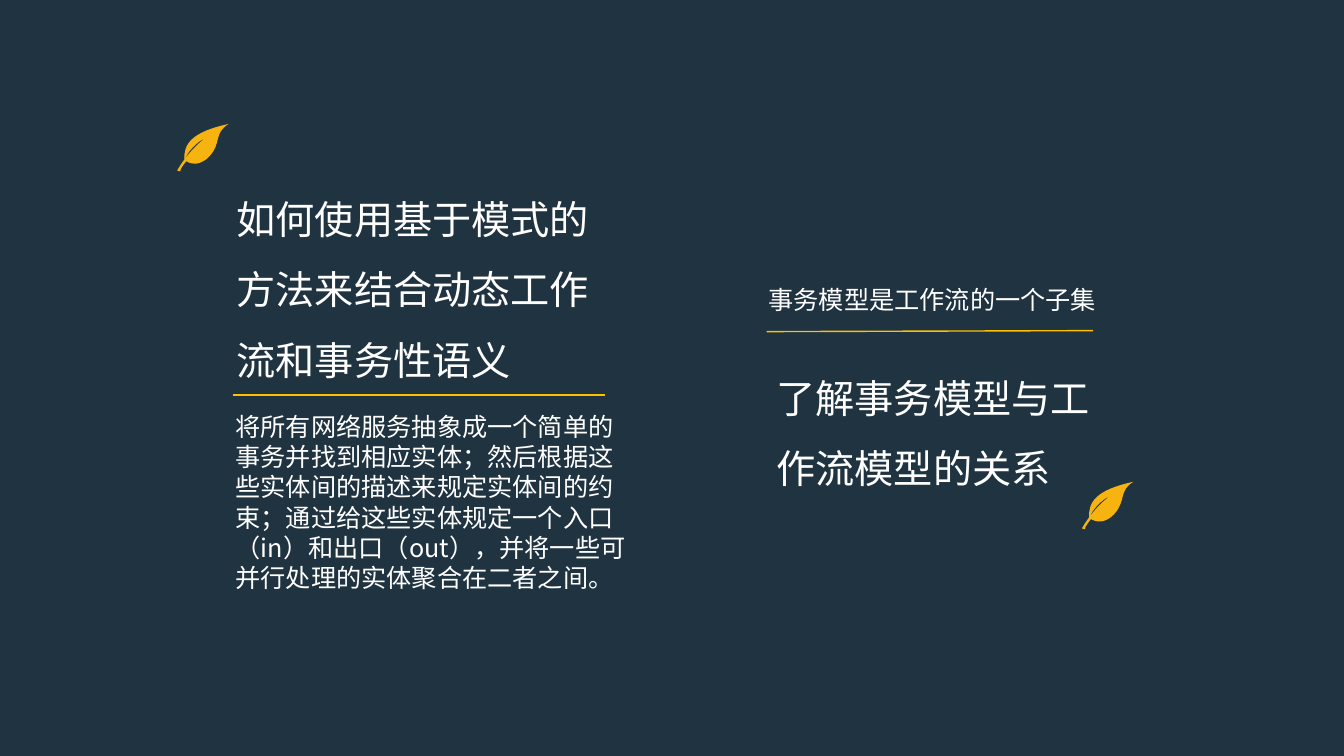
from pptx import Presentation
from pptx.dml.color import RGBColor
from pptx.enum.shapes import MSO_CONNECTOR as Connector
from pptx.enum.text import MSO_ANCHOR as Anchor, MSO_AUTO_SIZE as AutoSize, PP_ALIGN as Align
from pptx.oxml.ns import qn
from pptx.util import Inches, Pt
from lxml.etree import SubElement

WHITE, NAVY, GOLD, LEAF = "FFFFFF", "203341", "FFC000", "F7B30F"
color = RGBColor.from_string

presentation = Presentation()
presentation.slide_width, presentation.slide_height = Inches(13.34), Inches(7.5)
slide = presentation.slides.add_slide(presentation.slide_layouts[5])
slide.background.fill.solid()
slide.background.fill.fore_color.rgb = color(NAVY)


def write(text, box, shape=None, size=18, font="Calibri", spacing=1.0):
    left, top, width, height = map(Inches, box)
    if shape is None:
        shape = slide.shapes.add_textbox(left, top, width, height)
    shape.left, shape.top, shape.width, shape.height = left, top, width, height
    frame = shape.text_frame
    frame.text = text
    frame.word_wrap = True
    frame.auto_size = AutoSize.NONE
    frame.vertical_anchor = Anchor.TOP
    paragraph = frame.paragraphs[0]
    paragraph.alignment = Align.LEFT
    paragraph.line_spacing = spacing
    paragraph.space_before = Pt(0)
    # Keep closing punctuation inside the box
    paragraph._p.get_or_add_pPr().set("hangingPunct", "0")
    run_font = paragraph.runs[0].font
    run_font.size, run_font.name = Pt(size), font
    run_font.color.rgb = color(WHITE)


# Left column: question and answer
write("如何使用基于模式的方法来结合动态工作流和事务性语义",
      (2.25, 1.65, 3.8, 2.2), shape=slide.shapes.title, size=28, spacing=1.5)
write("将所有网络服务抽象成一个简单的事务并找到相应实体；然后根据这些实体间的描述来规定"
      "实体间的约束；通过给这些实体规定一个入口（in）和出口（out），并将一些可并行处理的"
      "实体聚合在二者之间。",
      (2.24, 4.03, 4.18, 2.2), font="Noto Sans CJK SC")

# Right column: statement above its heading
write("事务模型是工作流的一个子集", (7.53, 2.77, 3.45, 0.4))
write("了解事务模型与工作流模型的关系", (7.61, 3.43, 3.66, 1.5), size=28, spacing=1.5)

# Gold rules
for ends in ((2.31, 3.92, 6.01, 3.92), (7.61, 3.29, 10.85, 3.28)):
    rule = slide.shapes.add_connector(Connector.STRAIGHT, *map(Inches, ends))
    rule.line.color.rgb = color(GOLD)
    rule.line.width = Pt(1)
    SubElement(rule._element.spPr, qn("a:effectLst"))

# Leaves: two control points and an end point per curve, from the leaf's corner
leaf_start = (0, 0.46)
leaf_curves = (
    ((0, 0.46), (0, 0.47), (0.03, 0.47)),
    ((0.02, 0.45), (0.09, 0.37), (0.09, 0.37)),
    ((0.09, 0.37), (0.2, 0.45), (0.32, 0.32)),
    ((0.44, 0.19), (0.36, 0.09), (0.51, 0)),
    ((0.14, 0.08), (0.06, 0.2), (0.07, 0.36)),
    ((0.1, 0.28), (0.19, 0.18), (0.28, 0.14)),
    ((0.14, 0.24), (0.04, 0.39), leaf_start),
)

for left, top in ((1.76, 1.23), (10.74, 4.78)):
    builder = slide.shapes.build_freeform(*map(Inches, leaf_start))
    builder.add_line_segments([tuple(map(Inches, curve[-1])) for curve in leaf_curves], close=True)
    leaf = builder.convert_to_shape(Inches(left), Inches(top))
    leaf.fill.solid()
    leaf.fill.fore_color.rgb = color(LEAF)
    leaf.line.fill.background()
    leaf.shadow.inherit = False
    # Turn each straight segment into a Bezier curve
    segments = list(leaf._element.iter(qn("a:lnTo")))
    for segment, curve in zip(segments, leaf_curves):
        bezier = segment.makeelement(qn("a:cubicBezTo"))
        for x, y in curve:
            SubElement(bezier, qn("a:pt"), x=str(Inches(x)), y=str(Inches(y)))
        segment.getparent().replace(segment, bezier)

presentation.save("out.pptx")
